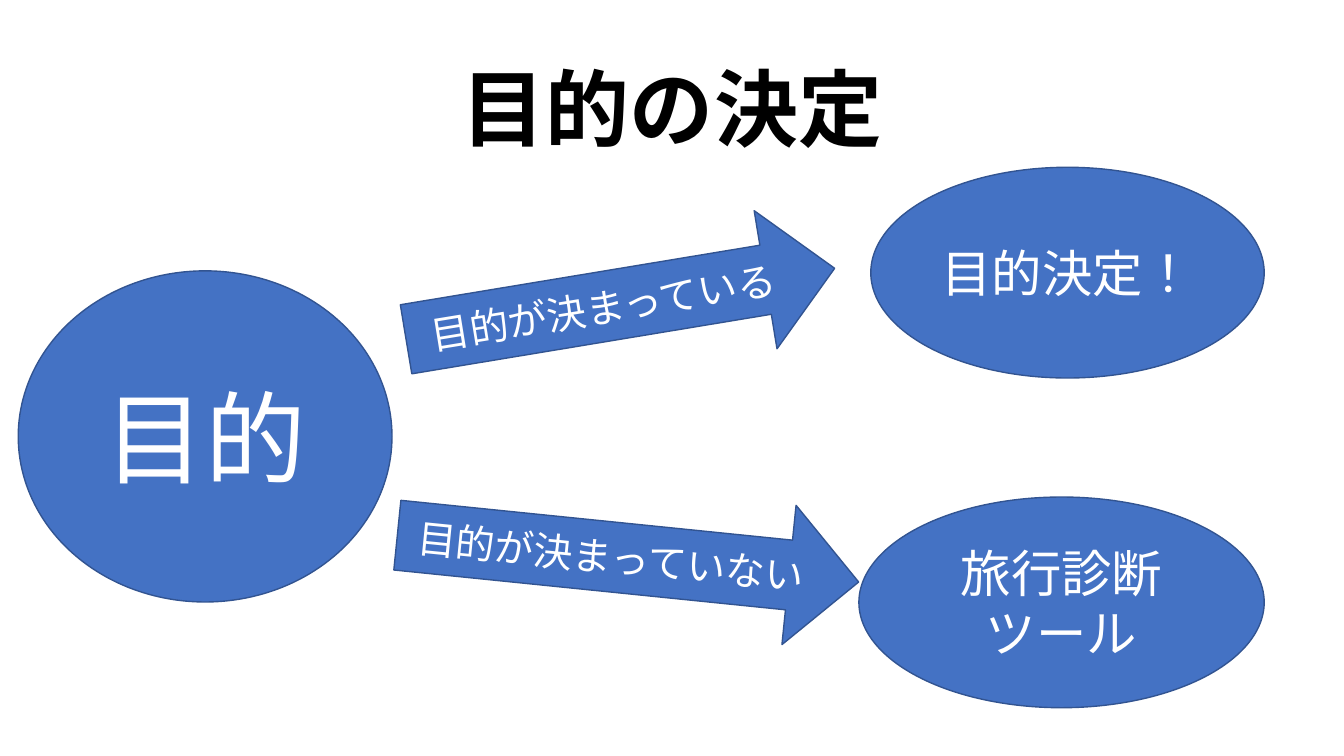
import pptx
import pptx.util
import pptx.dml.color
import pptx.enum.lang
import pptx.enum.shapes
import pptx.enum.text
import pptx.oxml.ns
from lxml import etree

Pt = pptx.util.Pt
RGBColor = pptx.dml.color.RGBColor
SHAPES = pptx.enum.shapes.MSO_SHAPE

FONT = "Noto Sans CJK JP"
BLACK = RGBColor(0x00, 0x00, 0x00)
WHITE = RGBColor(0xFF, 0xFF, 0xFF)
BLUE = RGBColor(0x44, 0x72, 0xC4)
DARK_BLUE = RGBColor(0x32, 0x54, 0x91)


def write_text(frame, text, size, color=WHITE, bold=False, line_spacing=None):
    frame.word_wrap = True
    frame.auto_size = pptx.enum.text.MSO_AUTO_SIZE.NONE
    frame.vertical_anchor = pptx.enum.text.MSO_ANCHOR.MIDDLE
    paragraph = frame.paragraphs[0]
    paragraph.alignment = pptx.enum.text.PP_ALIGN.CENTER
    paragraph.line_spacing = line_spacing
    run = paragraph.add_run()
    run.text = text
    run.font.size = Pt(size)
    run.font.bold = bold
    run.font.color.rgb = color
    run.font.name = FONT
    run.font.language_id = pptx.enum.lang.MSO_LANGUAGE_ID.JAPANESE
    east_asian = etree.Element(pptx.oxml.ns.qn("a:ea"), typeface=FONT)
    run.font._element.find(pptx.oxml.ns.qn("a:latin")).addnext(east_asian)


def add_blue_shape(slide, preset, box, text, size, rotation=0):
    shape = slide.shapes.add_shape(preset, *map(Pt, box))
    shape.rotation = rotation
    shape.shadow.inherit = False
    shape.fill.solid()
    shape.fill.fore_color.rgb = BLUE
    shape.line.color.rgb = DARK_BLUE
    shape.line.width = Pt(1)
    write_text(shape.text_frame, text, size)


def add_title(slide, box, text):
    title = slide.shapes.title
    title.left, title.top, title.width, title.height = map(Pt, box)
    write_text(title.text_frame, text, 60, color=BLACK, bold=True, line_spacing=0.9)


def add_branch(slide, box, condition, outcome, arrow, tilt, outcome_left):
    """Tilted arrow, given as (left, top, width) in the box, leading to an ellipse at its right end."""
    left, top, width, height = box
    arrow_left, arrow_top, arrow_width = arrow
    add_blue_shape(slide, SHAPES.RIGHT_ARROW,
                   (left + arrow_left, top + arrow_top, arrow_width, 100),
                   condition, 28, rotation=tilt)
    add_blue_shape(slide, SHAPES.OVAL,
                   (left + outcome_left, top, width - outcome_left, height),
                   outcome, 36)


def main():
    presentation = pptx.Presentation()
    presentation.slide_width = Pt(960)
    presentation.slide_height = Pt(540)
    slide = presentation.slides.add_slide(presentation.slide_layouts[5])

    add_title(slide, (66, 28.75, 828, 104.4), "目的の決定")
    add_blue_shape(slide, SHAPES.OVAL, (13, 193.5, 267, 236.5), "目的", 72)
    add_branch(slide, (283, 119.5, 620, 150.5), "目的が決まっている", "目的決定！",
               arrow=(5, 47.5, 310.3), tilt=350.6, outcome_left=339)
    add_branch(slide, (283, 355, 620, 150.5), "目的が決まっていない", "旅行診断ツール",
               arrow=(0, -6, 331.2), tilt=5.8, outcome_left=330.5)

    presentation.save("out.pptx")


if __name__ == "__main__":
    main()
